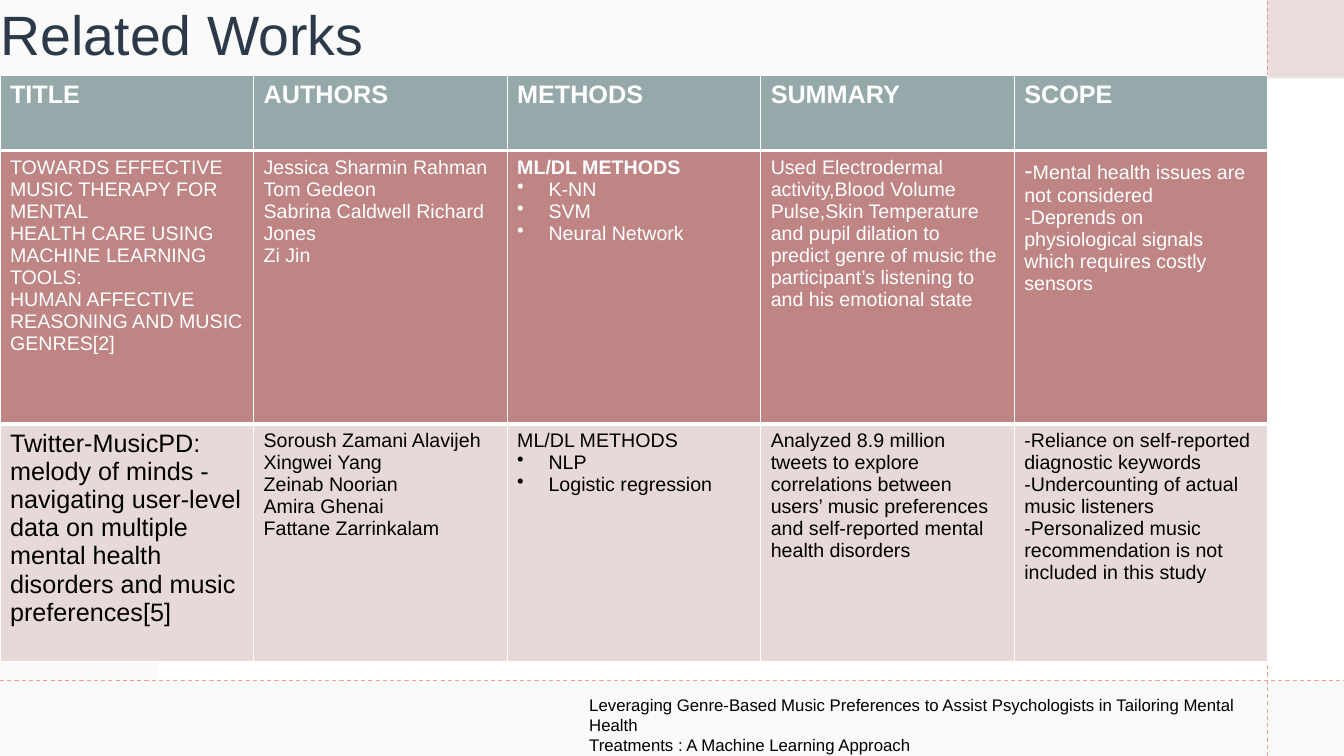
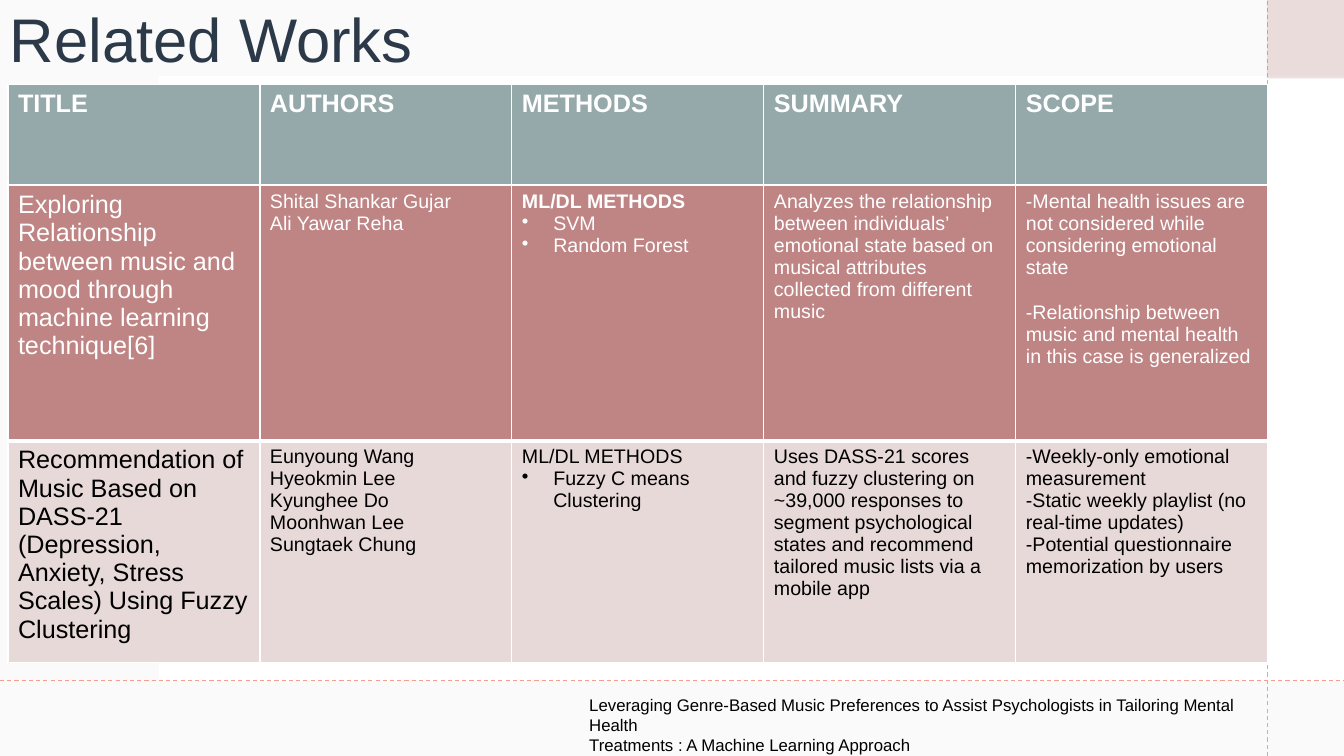
from lxml import etree
from pptx import Presentation
from pptx import util as u
from pptx.dml.color import RGBColor
from pptx.enum import dml, shapes, text
from pptx.oxml import ns

FONT = "Arial"
WHITE, BLACK, NAVY = "FFFFFF", "000000", "2C3948"
MIST, ROSE, PINK = "F4F4F4", "BF8484", "E8D9D9"
TEAL, CORAL = "96A9AA", "F49D90"
WIDE, HIGH = 33.87, 19.05
EDGE, BASE = 31.93, 17.15
HEADS = ["TITLE", "AUTHORS", "METHODS", "SUMMARY", "SCOPE"]
NOTE = ("Leveraging Genre-Based Music Preferences to Assist Psychologists "
        "in Tailoring Mental Health \nTreatments : A Machine Learning Approach")


def color(code):
    return RGBColor.from_string(code)


def node(parent, tag, **attrs):
    return etree.SubElement(parent, ns.qn(tag), **attrs)


class Deck:
    def __init__(self):
        self.file = Presentation()
        self.file.slide_width = u.Cm(WIDE)
        self.file.slide_height = u.Cm(HIGH)

    def page(self, title, size, box):
        self.slide = self.file.slides.add_slide(self.file.slide_layouts[6])
        self.block(0, 0, WIDE, HIGH, MIST, 45)
        self.block(4.01, 1.91, WIDE - 4.01, 15.24, WHITE)
        self.dash(EDGE, HIGH, EDGE, 0)
        self.dash(0, BASE, WIDE, BASE)
        self.block(EDGE, 0, 1.98, 1.98, ROSE, 25)
        self.label(title, size, NAVY, box, text.MSO_ANCHOR.MIDDLE, 0.9)

    def block(self, x, y, w, h, fill, alpha=100):
        rect = self.slide.shapes.add_shape(
            shapes.MSO_SHAPE.RECTANGLE, u.Cm(x), u.Cm(y), u.Cm(w), u.Cm(h))
        rect.shadow.inherit = False
        rect.fill.solid()
        rect.fill.fore_color.rgb = color(fill)
        rect.line.fill.background()
        if alpha < 100:
            tint = rect.fill._xPr.find(".//" + ns.qn("a:srgbClr"))
            node(tint, "a:alpha", val=str(alpha * 1000))

    def dash(self, x, y, right, low):
        line = self.slide.shapes.add_connector(
            shapes.MSO_CONNECTOR.STRAIGHT,
            u.Cm(x), u.Cm(y), u.Cm(right), u.Cm(low))
        line.line.color.rgb = color(CORAL)
        line.line.width = u.Pt(0.75)
        line.line.dash_style = dml.MSO_LINE.DASH
        node(line._element.spPr, "a:effectLst")

    def style(self, para, size, ink, bold=False):
        font = para.font
        font.name, font.size, font.bold = FONT, u.Pt(size), bold
        font.color.rgb = color(ink)

    def label(self, words, size, ink, box, anchor=text.MSO_ANCHOR.TOP, space=1):
        frame = self.slide.shapes.add_textbox(*map(u.Cm, box)).text_frame
        frame.word_wrap = True
        frame.vertical_anchor = anchor
        para = frame.paragraphs[0]
        para.text = words
        para.line_spacing = space
        self.style(para, size, ink)

    def grid(self, x, y, w, highs, rows):
        table = self.slide.shapes.add_table(
            len(rows), len(HEADS), u.Cm(x), u.Cm(y), u.Cm(w),
            u.Cm(sum(highs))).table
        table.first_row = table.horz_banding = False
        for col in table.columns:
            col.width = u.Cm(w / len(HEADS))
        for row, high in zip(table.rows, highs):
            row.height = u.Cm(high)
        return table

    def cell(self, cell, lines, size, fill, ink, top, low, bold=False):
        props = cell._tc.get_or_add_tcPr()
        for side, width in zip("LRTB", (1, 1, top, low)):
            edge = node(props, "a:ln" + side, w=str(u.Pt(width)))
            node(node(edge, "a:solidFill"), "a:srgbClr", val=WHITE)
        cell.fill.solid()
        cell.fill.fore_color.rgb = color(fill)
        frame, gap = cell.text_frame, False
        for n, line in enumerate(filter(None, lines)):
            para = frame.paragraphs[0] if n == 0 else frame.add_paragraph()
            bullet = line.startswith("•")
            para.text = line.lstrip("• ")
            if bullet:
                props = para._p.get_or_add_pPr()
                props.set("marL", str(u.Cm(0.79)))
                props.set("indent", str(u.Cm(-0.79)))
                node(props, "a:buChar", char="•")
            if n and lines[n] == "":
                para.space_before = u.Pt(16)
            self.style(para, size, ink, bold and not bullet)

    def works(self, x, y, w, head, highs, rows, sizes):
        table = self.grid(x, y, w, [head], [HEADS])
        for n, name in enumerate(HEADS):
            self.cell(table.cell(0, n), [name], 18, TEAL, WHITE, 1, 3, True)
        table = self.grid(x, y + head, w, highs, rows)
        looks = [(ROSE, WHITE, 1, 3), (PINK, BLACK, 3, 1)]
        for r, (row, look) in enumerate(zip(rows, looks)):
            for c, lines in enumerate(row):
                size = sizes[r] if c == 0 else 14
                bold = r == 0 and HEADS[c] == "METHODS"
                self.cell(table.cell(r, c), lines, size, *look, bold)
        return table

    def foot(self):
        self.label(NOTE, 12, BLACK, (14.6, 17.37, 16.94, 1.27))


def first(deck):
    deck.page("Related Works", 39.6, (-0.23, 0.3, 11.1, 1.27))
    rows = [
        [["TOWARDS EFFECTIVE MUSIC THERAPY FOR MENTAL",
          "HEALTH CARE USING MACHINE LEARNING TOOLS:",
          "HUMAN AFFECTIVE REASONING AND MUSIC GENRES[2]"],
         ["Jessica Sharmin Rahman", "Tom Gedeon",
          "Sabrina Caldwell Richard Jones", "Zi Jin"],
         ["ML/DL METHODS", "• K-NN", "• SVM", "• Neural Network"],
         ["Used Electrodermal activity,Blood Volume Pulse,Skin Temperature "
          "and pupil dilation to predict genre of music the participant’s "
          "listening to and his emotional state"],
         ["-", "-Deprends on physiological signals which requires costly "
          "sensors"]],
        [["Twitter-MusicPD: melody of minds - navigating user-level data on "
          "multiple mental health disorders and music preferences[5]"],
         ["Soroush Zamani Alavijeh Xingwei Yang", "Zeinab Noorian",
          "Amira Ghenai", "Fattane Zarrinkalam"],
         ["ML/DL METHODS", "• NLP", "• Logistic regression"],
         ["Analyzed 8.9 million tweets to explore correlations between "
          "users’ music preferences and self-reported mental health "
          "disorders"],
         ["-Reliance on self-reported diagnostic keywords",
          "-Undercounting of actual music listeners",
          "-Personalized music recommendation is not included in this "
          "study"]],
    ]
    table = deck.works(0, 1.91, 31.95, 1.9, [6.88, 5.99], rows, [14, 18])
    para = table.cell(0, 4).text_frame.paragraphs[0]
    para.runs[0].font.size = u.Pt(18)
    run = para.add_run()
    run.text = "Mental health issues are not considered"
    run.font.size = u.Pt(14)
    deck.foot()


def second(deck):
    deck.page("Related Works", 44, (0, 0, 12.45, 2.13))
    rows = [
        [["Exploring Relationship between music and mood through machine "
          "learning technique[6]"],
         ["Shital Shankar Gujar", "Ali Yawar Reha"],
         ["ML/DL METHODS", "• SVM", "• Random Forest"],
         ["Analyzes the relationship between individuals’ emotional state "
          "based on musical attributes collected from different music"],
         ["-Mental health issues are not considered while considering "
          "emotional state", "",
          "-Relationship between music and mental health in this case is "
          "generalized"]],
        [["Recommendation of Music Based on DASS-21 (Depression, Anxiety, "
          "Stress Scales) Using Fuzzy Clustering"],
         ["Eunyoung Wang", "Hyeokmin Lee", "Kyunghee Do", "Moonhwan Lee",
          "Sungtaek Chung"],
         ["ML/DL METHODS", "• Fuzzy C means Clustering"],
         ["Uses DASS‑21 scores and fuzzy clustering on ~39,000 responses to "
          "segment psychological states and recommend tailored music lists "
          "via a mobile app"],
         ["-Weekly-only emotional measurement",
          "-Static weekly playlist (no real-time updates)",
          "-Potential questionnaire memorization by users"]],
    ]
    deck.works(0.2, 2.13, 31.75, 2.55, [6.43, 5.2], rows, [18, 18])
    deck.foot()


def main():
    deck = Deck()
    first(deck)
    second(deck)
    deck.file.save("out.pptx")


if __name__ == "__main__":
    main()
